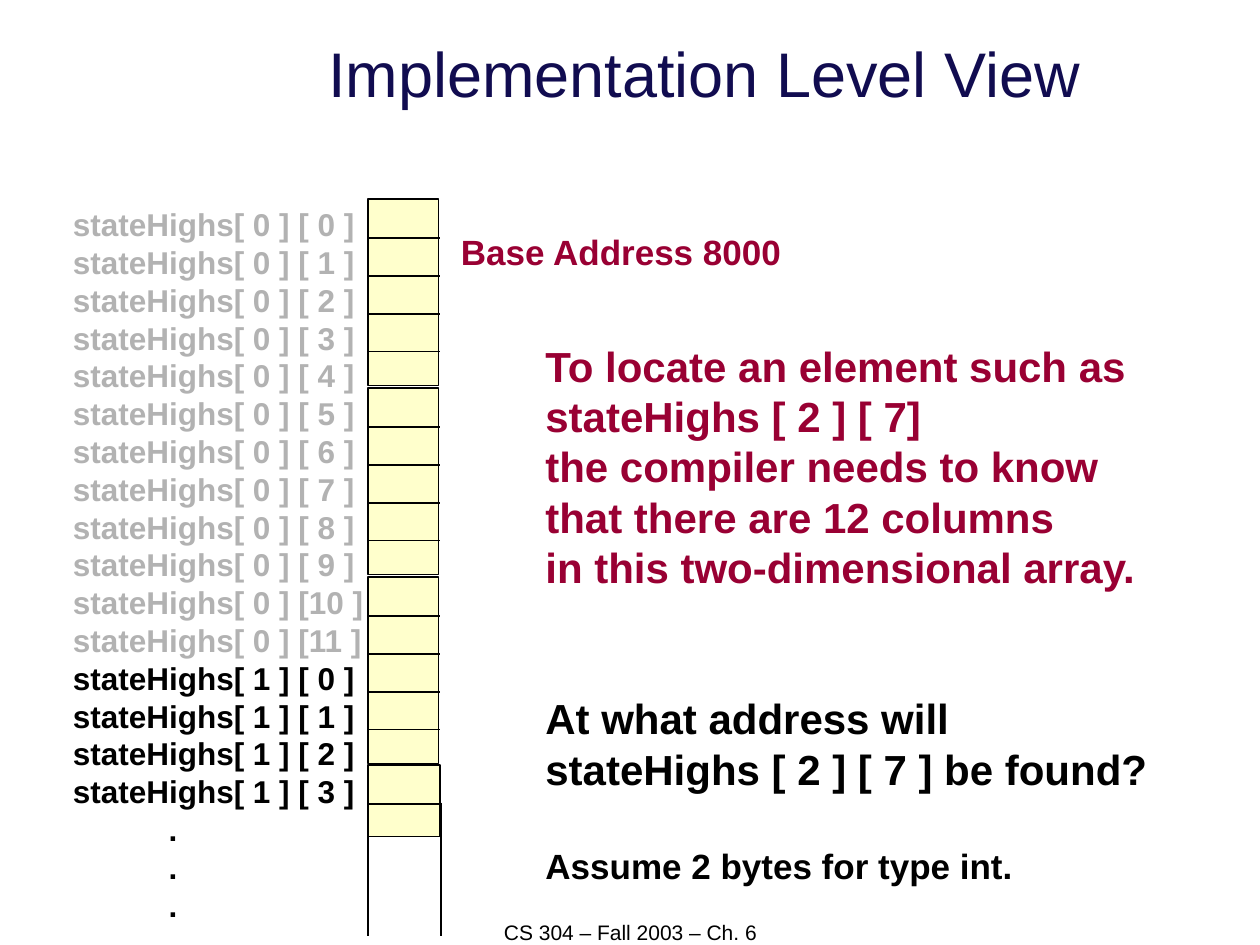
from dataclasses import dataclass

from lxml import etree
from pptx import Presentation
from pptx import util as u
from pptx.dml.color import RGBColor
from pptx.enum import shapes, text
from pptx.oxml.ns import qn


@dataclass(frozen=True)
class Theme:
    font: str = "Arial"
    navy: str = "110C50"
    crimson: str = "990033"
    black: str = "000000"
    grey: str = "B2B2B2"
    cream: str = "FFFFCC"
    title: int = 36
    body: int = 24
    note: int = 20
    label: int = 18
    footer: int = 12
    line: float = 1
    leading: float = 1.2


@dataclass
class Para:
    text: str
    size: int
    color: str
    bold: bool = True
    gap: int = 0  # space before, in body lines
    indent: float = 0


class SlideBuilder:
    def __init__(self, slide, theme):
        self.slide = slide
        self.theme = theme

    def add_text(self, left, top, width, height, paras, wrap=True,
                 align=text.PP_ALIGN.LEFT, anchor=text.MSO_ANCHOR.TOP):
        box = self.slide.shapes.add_textbox(
            u.Inches(left), u.Inches(top), u.Inches(width), u.Inches(height))
        frame = box.text_frame
        frame.word_wrap = wrap
        frame.vertical_anchor = anchor
        frame.text = "\n".join(para.text for para in paras)
        for paragraph, para in zip(frame.paragraphs, paras):
            paragraph.alignment = align
            paragraph.line_spacing = u.Pt(para.size * self.theme.leading)
            if para.gap:
                paragraph.space_before = u.Pt(
                    para.gap * self.theme.body * self.theme.leading)
            if para.indent:
                properties = paragraph._p.get_or_add_pPr()
                properties.set("marL", str(u.Inches(para.indent)))
            for run in paragraph.runs:
                run.font.name = self.theme.font
                run.font.size = u.Pt(para.size)
                run.font.bold = para.bold
                run.font.color.rgb = RGBColor.from_string(para.color)

    def add_block(self, left, top, width, height):
        block = self.slide.shapes.add_shape(
            shapes.MSO_SHAPE.RECTANGLE, u.Inches(left), u.Inches(top),
            u.Inches(width), u.Inches(height))
        block.shadow.inherit = False
        block.fill.solid()
        block.fill.fore_color.rgb = RGBColor.from_string(self.theme.cream)
        self.style_line(block.line)

    def add_line(self, x1, y1, x2, y2):
        line = self.slide.shapes.add_connector(
            shapes.MSO_CONNECTOR.STRAIGHT, u.Inches(x1), u.Inches(y1),
            u.Inches(x2), u.Inches(y2))
        self.style_line(line.line)
        etree.SubElement(line._element.spPr, qn("a:effectLst"))

    def style_line(self, line):
        line.color.rgb = RGBColor.from_string(self.theme.black)
        line.width = u.Pt(self.theme.line)


def main():
    deck = Presentation()
    deck.slide_width, deck.slide_height = u.Inches(10), u.Inches(7.5)
    theme = Theme()
    page = SlideBuilder(deck.slides.add_slide(deck.slide_layouts[6]), theme)

    # Footer and title
    page.add_text(3.42, 7.25, 3.17, 0.25,
                  [Para("CS 304 – Fall 2003 – Ch. 6", theme.footer, theme.black, False)],
                  align=text.PP_ALIGN.CENTER)
    page.add_text(1.84, 0.42, 7.5, 0.5,
                  [Para("Implementation Level View", theme.title, theme.navy, False)],
                  align=text.PP_ALIGN.CENTER, anchor=text.MSO_ANCHOR.BOTTOM)

    # Memory column: open end, last cells, then three blocks of five cells
    memory_left, memory_right, cell = 2.92, 3.49, 0.3
    for side in (memory_left, 3.5):
        page.add_line(side, 6.37, side, 7.43)
    page.add_block(memory_left, 6.07, 0.57, 0.57)
    page.add_line(memory_left, 6.38, memory_right, 6.38)
    for block_top in (4.58, 3.08, 1.58):
        page.add_block(memory_left, block_top, 0.56, 1.48)
        for row in range(1, 5):
            divider = block_top + 0.01 + row * cell
            page.add_line(memory_left, divider, memory_right, divider)

    # Element names in row-major order
    elements = [Para(f"stateHighs[ {row} ] [{column:>2} ]", theme.label, color)
                for row, columns, color in ((0, 12, theme.grey), (1, 4, theme.black))
                for column in range(columns)]
    dots = [Para(".", theme.label, theme.black, indent=0.76)] * 3
    page.add_text(0.48, 1.58, 2.52, 5.8, elements + dots)

    # Explanation and question
    explanation = [Para(line, theme.body, theme.crimson) for line in (
        "To locate an element such as",
        "stateHighs [ 2 ] [ 7]",
        "the compiler needs to know",
        "that there are 12 columns",
        "in this two-dimensional array.")]
    question = [
        Para("At what address will", theme.body, theme.black, gap=2),
        Para("stateHighs [ 2 ] [ 7 ] be found?", theme.body, theme.black),
        Para("Assume 2 bytes for type int.", theme.note, theme.black, gap=1)]
    page.add_text(4.23, 2.65, 4.98, 4.77, explanation + question, wrap=False)

    # Base address
    page.add_text(3.56, 1.78, 2.76, 0.43,
                  [Para("Base Address 8000", theme.note, theme.crimson)], wrap=False)

    deck.save("out.pptx")


if __name__ == "__main__":
    main()
